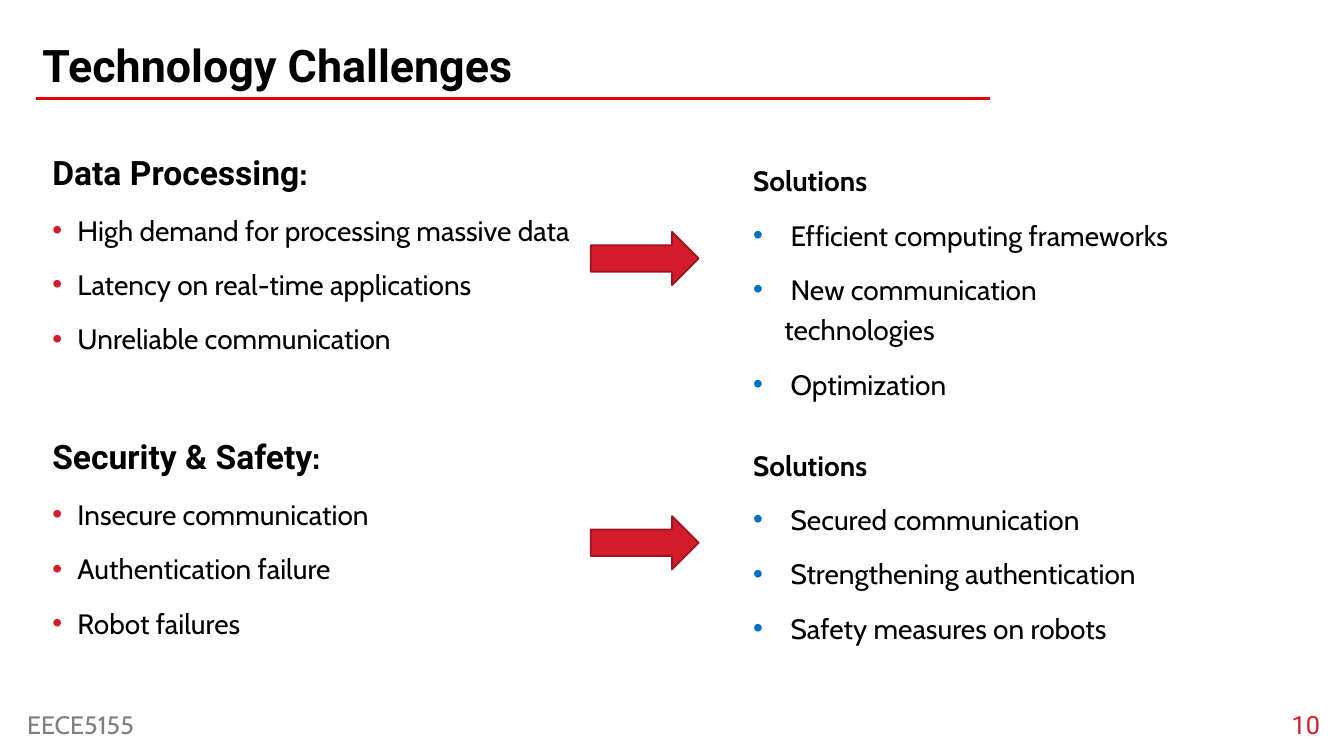
from lxml.etree import SubElement
from pptx import Presentation
from pptx.dml.color import RGBColor
from pptx.enum.shapes import MSO_CONNECTOR, MSO_SHAPE
from pptx.enum.text import MSO_ANCHOR as Anchor, PP_ALIGN as Align
from pptx.oxml.ns import qn
from pptx.util import Inches, Pt

COLORS = {
    "text": "000000",
    "rule": "E30300",
    "accent": "D41B2B",
    "arrow": "D31B2B",
    "arrow_edge": "9C1420",
    "solution": "0070C0",
    "footer": "808080",
}

TOPICS = [
    (1.38, "Data Processing",
     ["High demand for processing massive data",
      "Latency on real-time applications",
      "Unreliable communication"],
     ["Efficient computing frameworks",
      "New communication technologies",
      "Optimization"]),
    (4.2, "Security & Safety",
     ["Insecure communication",
      "Authentication failure",
      "Robot failures"],
     ["Secured communication",
      "Strengthening authentication",
      "Safety measures on robots"]),
]


def rgb(name):
    return RGBColor.from_string(COLORS[name])


def add_span(para, text, size=20, font="Cabin", color="text", bold=False):
    span = para.add_run()
    span.text = text
    span.font.size = Pt(size)
    span.font.name = font
    span.font.bold = bold
    span.font.color.rgb = rgb(color)


def add_box(slide, left, top, width, height, anchor=Anchor.TOP, margins=True):
    """Add a wrapping text box and return its text frame."""
    box = slide.shapes.add_textbox(
        Inches(left), Inches(top), Inches(width), Inches(height))
    frame = box.text_frame
    frame.word_wrap = True
    frame.vertical_anchor = anchor
    if not margins:
        frame.margin_left = frame.margin_right = 0
        frame.margin_top = frame.margin_bottom = 0
    return frame


def space_lines(para):
    para.line_spacing = 1.2
    para.space_before = Pt(10)


def add_bullet(frame, text, indent, color):
    para = frame.add_paragraph()
    space_lines(para)
    props = para._p.get_or_add_pPr()
    props.set("marL", str(Inches(indent)))
    props.set("indent", str(-Inches(indent)))
    bullet_color = SubElement(props, qn("a:buClr"))
    SubElement(bullet_color, qn("a:srgbClr"), val=COLORS[color])
    SubElement(props, qn("a:buFont"), typeface="Arial")
    SubElement(props, qn("a:buChar"), char="•")
    add_span(para, text)


def add_header(slide, left, top, width):
    frame = add_box(slide, left, top, width, 0.57, Anchor.BOTTOM, margins=False)
    para = frame.paragraphs[0]
    para.line_spacing = 0.9
    add_span(para, "Technology Challenges", size=32, font="Roboto", bold=True)
    rule_y = Inches(top + 0.64)
    rule = slide.shapes.add_connector(
        MSO_CONNECTOR.STRAIGHT, Inches(left - 0.06), rule_y,
        Inches(left + width + 0.2), rule_y)
    rule.line.color.rgb = rgb("rule")
    rule.line.width = Pt(2)
    SubElement(rule._element.spPr, qn("a:effectLst"))


def add_arrow(slide, left, top):
    arrow = slide.shapes.add_shape(
        MSO_SHAPE.RIGHT_ARROW, Inches(left), Inches(top),
        Inches(1.07), Inches(0.53))
    arrow.shadow.inherit = False
    arrow.fill.solid()
    arrow.fill.fore_color.rgb = rgb("arrow")
    arrow.line.color.rgb = rgb("arrow_edge")
    arrow.line.width = Pt(1.25)


def add_topic(slide, left, top, heading, challenges, solutions):
    """Place challenges, an arrow and their solutions in one band."""
    frame = add_box(slide, left, top, 12.62, 2.38)
    para = frame.paragraphs[0]
    space_lines(para)
    add_span(para, heading, size=24, font="Roboto", bold=True)
    add_span(para, ":", size=24, bold=True)
    for challenge in challenges:
        add_bullet(frame, challenge, 0.25, "accent")

    add_arrow(slide, left + 5.44, top + 0.92)

    frame = add_box(slide, left + 6.95, top + 0.13, 4.51, 2.1)
    para = frame.paragraphs[0]
    space_lines(para)
    add_span(para, "Solutions", bold=True)
    for solution in solutions:
        add_bullet(frame, " " + solution, 0.31, "solution")


def add_footer(slide, top):
    course = add_box(slide, 0.17, top, 6.49, 0.55, Anchor.BOTTOM)
    add_span(course.paragraphs[0], "EECE5155", size=18, color="footer")
    number = add_box(slide, 12.3, top, 0.89, 0.55, Anchor.BOTTOM)
    number.paragraphs[0].alignment = Align.RIGHT
    add_span(number.paragraphs[0], "10", size=18, font="Roboto", color="accent")


def main():
    deck = Presentation()
    deck.slide_width = Inches(13.33)
    deck.slide_height = Inches(7.5)
    page = deck.slides.add_slide(deck.slide_layouts[6])
    add_header(page, 0.42, 0.34, 9.2)
    for top, heading, challenges, solutions in TOPICS:
        add_topic(page, 0.42, top, heading, challenges, solutions)
    add_footer(page, 6.84)
    deck.save("out.pptx")


if __name__ == "__main__":
    main()
